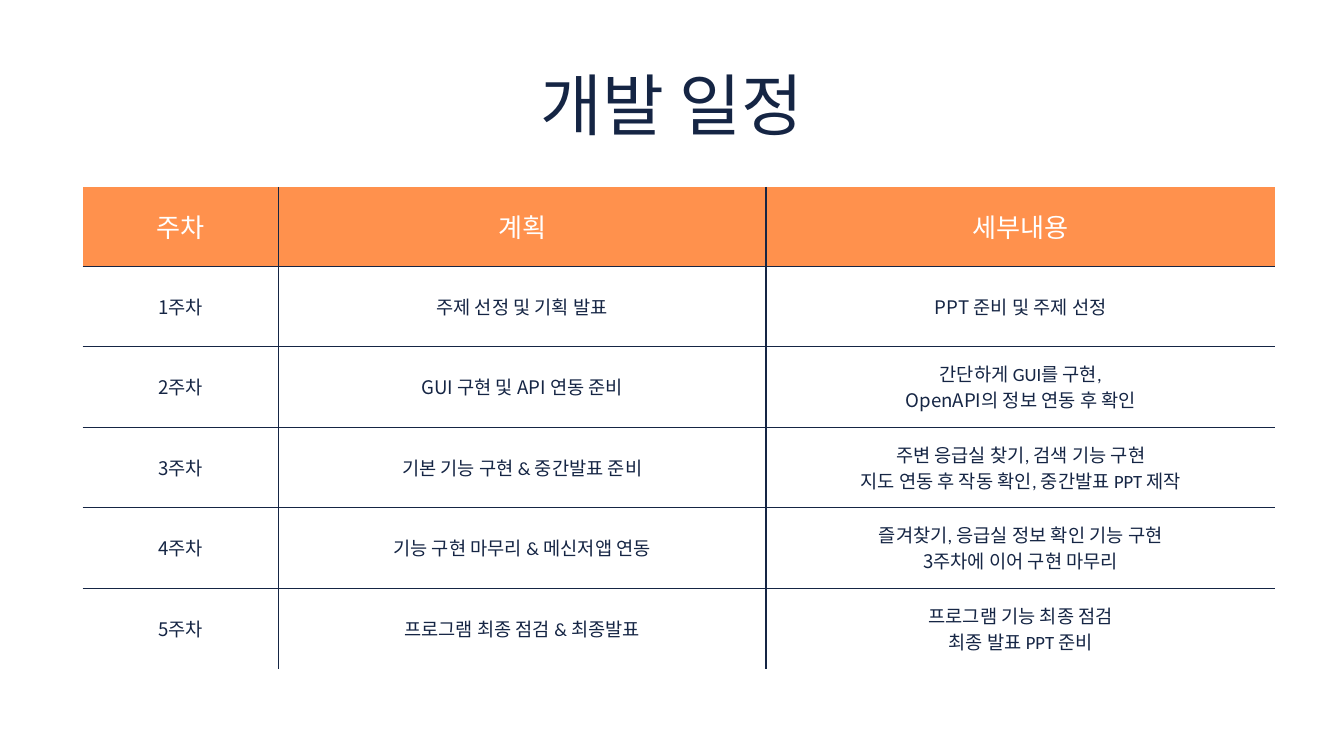
"""Build the development schedule slide with a weekly plan table."""
from lxml.etree import SubElement
from pptx import Presentation
from pptx.dml.color import RGBColor
from pptx.enum.text import MSO_ANCHOR, MSO_AUTO_SIZE, PP_ALIGN
from pptx.oxml.ns import qn
from pptx.util import Inches, Pt

COLORS = {"navy": "152544", "orange": "FF914D", "white": "FFFFFF"}
TITLE_FORMAT = {"size": Pt(72), "name": "Calibri", "bold": False}
HEADER_FORMAT = {"size": Pt(28), "name": "Calibri", "bold": False}
KOREAN_FORMAT = {"size": Pt(20), "name": "Calibri", "bold": False}
LATIN_FORMAT = {"size": Pt(20), "name": "Noto Sans CJK KR", "bold": False}
MARGINS = ("margin_left", "margin_top", "margin_right", "margin_bottom")

COLUMN_WIDTHS = [2.91, 7.26, 7.58]
ROW_HEIGHT = 1.19
SCHEDULE = [
    ("주차", "계획", "세부내용"),
    ("1주차", "주제 선정 및 기획 발표", "PPT 준비 및 주제 선정"),
    ("2주차", "GUI 구현 및 API 연동 준비",
     "간단하게 GUI를 구현,\nOpenAPI의 정보 연동 후 확인"),
    ("3주차", "기본 기능 구현 & 중간발표 준비",
     "주변 응급실 찾기, 검색 기능 구현\n지도 연동 후 작동 확인, 중간발표 PPT 제작"),
    ("4주차", "기능 구현 마무리 & 메신저앱 연동",
     "즐겨찾기, 응급실 정보 확인 기능 구현\n3주차에 이어 구현 마무리"),
    ("5주차", "프로그램 최종 점검 & 최종발표",
     "프로그램 기능 최종 점검\n최종 발표 PPT 준비"),
]


def format_paragraph(paragraph, font_format, color, line_spacing):
    paragraph.alignment = PP_ALIGN.CENTER
    paragraph.line_spacing = Pt(line_spacing)
    for run in paragraph.runs:
        for name, value in font_format.items():
            setattr(run.font, name, value)
        run.font.color.rgb = RGBColor.from_string(COLORS[color])


def add_border(cell, side, visible):
    line = SubElement(cell._tc.get_or_add_tcPr(), qn(f"a:ln{side}"), w=str(Pt(1.5)))
    if visible:
        fill = SubElement(line, qn("a:solidFill"))
        SubElement(fill, qn("a:srgbClr"), val=COLORS["navy"])
    else:
        SubElement(line, qn("a:noFill"))


presentation = Presentation()
presentation.slide_width = Inches(20)
presentation.slide_height = Inches(11.25)
slide = presentation.slides.add_slide(presentation.slide_layouts[5])
slide.background.fill.solid()
slide.background.fill.fore_color.rgb = RGBColor.from_string(COLORS["white"])

title = slide.shapes.title
title.left, title.top = Inches(2.87), Inches(0.94)
title.width, title.height = Inches(14.26), Inches(1.39)
title_frame = title.text_frame
title_frame.text = "개발 일정"
title_frame.word_wrap = True
title_frame.auto_size = MSO_AUTO_SIZE.NONE
title_frame.vertical_anchor = MSO_ANCHOR.TOP
for margin in MARGINS:
    setattr(title_frame, margin, 0)
format_paragraph(title_frame.paragraphs[0], TITLE_FORMAT, "navy", 86.4)

table = slide.shapes.add_table(
    len(SCHEDULE), len(COLUMN_WIDTHS), Inches(1.23), Inches(2.78),
    Inches(sum(COLUMN_WIDTHS)), Inches(ROW_HEIGHT * len(SCHEDULE)),
).table
table.first_row = False
table.horz_banding = False
for column, width in zip(table.columns, COLUMN_WIDTHS):
    column.width = Inches(width)

last_row, last_column = len(SCHEDULE) - 1, len(COLUMN_WIDTHS) - 1
for row_index, texts in enumerate(SCHEDULE):
    table.rows[row_index].height = Inches(ROW_HEIGHT)
    is_header = row_index == 0
    for column_index, text in enumerate(texts):
        cell = table.cell(row_index, column_index)
        cell.text = text
        cell.vertical_anchor = MSO_ANCHOR.MIDDLE
        for margin in MARGINS:
            setattr(cell, margin, Inches(0.21))
        add_border(cell, "L", column_index > 0)
        add_border(cell, "R", column_index < last_column)
        add_border(cell, "T", row_index > 0)
        add_border(cell, "B", row_index < last_row)
        cell.fill.solid()
        cell.fill.fore_color.rgb = RGBColor.from_string(
            COLORS["orange" if is_header else "white"])
        for paragraph in cell.text_frame.paragraphs:
            if is_header:
                format_paragraph(paragraph, HEADER_FORMAT, "white", 39.2)
            else:
                starts_latin = paragraph.text[0].isascii()
                body_format = LATIN_FORMAT if starts_latin else KOREAN_FORMAT
                format_paragraph(paragraph, body_format, "navy", 28)

presentation.save("out.pptx")
